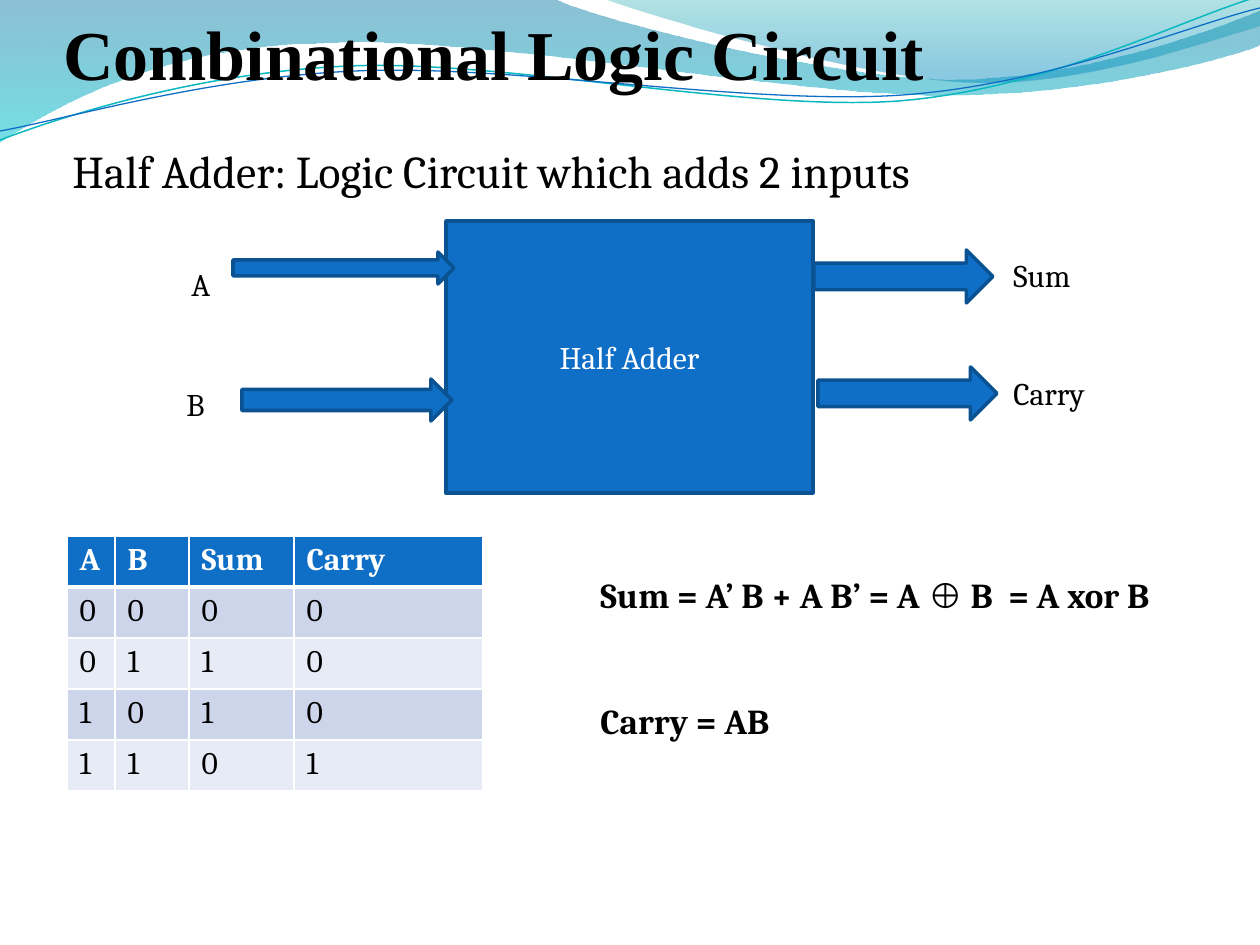
"""Build the half adder slide: block diagram, truth table and equations."""
import pptx
import pptx.dml.color
import pptx.enum.shapes
import pptx.enum.text
import pptx.oxml
import pptx.oxml.ns
import pptx.util

RGB = pptx.dml.color.RGBColor
SHAPE = pptx.enum.shapes.MSO_SHAPE
ALIGN = pptx.enum.text.PP_ALIGN
ANCHOR = pptx.enum.text.MSO_ANCHOR
Pt = pptx.util.Pt
qn = pptx.oxml.ns.qn
NS = pptx.oxml.ns.nsdecls("a")

EMU_PER_PX = 914400 / 126
FONT = "Cambria"
TITLE_FONT = "Times New Roman"

BLACK = RGB(0x00, 0x00, 0x00)
WHITE = RGB(0xFF, 0xFF, 0xFF)
BLUE = RGB(0x0F, 0x6F, 0xC6)
DARK_BLUE = RGB(0x0B, 0x52, 0x92)
TEAL = RGB(0x0A, 0xB8, 0xBF)
BAND_DARK = RGB(0xCC, 0xD5, 0xEA)
BAND_LIGHT = RGB(0xE7, 0xEB, 0xF5)
OCEAN = RGB(0x00, 0x74, 0xA1)
CYAN = RGB(0x00, 0xC6, 0xCF)
SEA = RGB(0x00, 0xA1, 0xA9)
SKY = RGB(0x00, 0x8B, 0xBF)

LARGE_WAVE = [
    (0, 0), (554, -1),
    (600, 21, 837, 79, 955, 79), (1075, 79, 1207, 33, 1260, 11), (1261, 45),
    (1239, 55, 1096, 96, 940, 95), (784, 95, 481, 35, 324, 43),
    (163, 45, 58, 105, -1, 142), (0, 0),
]
SMALL_WAVE = [
    (604, -1), (641, 14, 859, 78, 969, 82),
    (1079, 87, 1211, 40, 1260, 26), (1260, 0), (604, -1),
]
TEAL_CURVE = [
    (0, 140), (60, 117, 199, 72, 349, 66),
    (498, 59, 747, 112, 898, 101), (1049, 89, 1182, 19, 1257, -3),
]
BLUE_CURVE = [
    (0, 131), (59, 121, 207, 77, 357, 71),
    (508, 64, 752, 106, 903, 95), (1053, 84, 1186, 26, 1260, 8),
]
ARROWS = [(233, 252, 221, 32), (242, 379, 210, 42),
          (814, 250, 179, 53), (818, 367, 179, 53)]
LABELS = [("A", 179, 259, 42), ("B", 174, 379, 42),
          ("Sum", 1001, 250, 101), ("Carry", 1001, 368, 101)]
TRUTH_TABLE = [("A", "B", "Sum", "Carry"),
               "0000", "0110", "1010", "1101"]
COLUMN_WIDTHS = [48, 74, 105, 189]
ROW_HEIGHT = 51


def px(*lengths):
    """Turn px lengths into a list of EMU."""
    return [pptx.util.Emu(round(v * EMU_PER_PX)) for v in lengths]


def add_path(s, segments, close):
    """Add a freeform of straight and cubic Bezier segments."""
    start, *points = [px(*seg[i:i + 2]) for seg in segments
                      for i in range(0, len(seg), 2)]
    builder = s.shapes.build_freeform(*start, scale=1.0)
    builder.add_line_segments(points, close=close)
    sp = builder.convert_to_shape()
    sp.shadow.inherit = False
    lines = iter(list(sp.element.iter(qn("a:lnTo"))))
    for seg in segments[1:]:
        line = next(lines)
        if len(seg) == 6:
            curve = pptx.oxml.parse_xml(f"<a:cubicBezTo {NS}/>")
            line.addprevious(curve)
            for part in (line, next(lines), next(lines)):
                curve.append(part[0])
                part.getparent().remove(part)
    return sp


def add_wave(s, segments, stops):
    """Add a wave with a downward gradient of (position, colour, opacity)."""
    sp = add_path(s, segments, True)
    sp.line.fill.background()
    sp.fill.gradient()
    sp.fill.gradient_angle = 270
    for stop, (position, color, _) in zip(sp.fill.gradient_stops, stops):
        stop.position = position
        stop.color.rgb = color
    for clr, (_, _, opacity) in zip(sp.element.iter(qn("a:srgbClr")), stops):
        clr.append(pptx.oxml.parse_xml(
            f'<a:alpha {NS} val="{opacity * 1000}"/>'))


def add_curve(s, segments, color, width):
    """Add an unfilled curved line."""
    sp = add_path(s, segments, False)
    sp.fill.background()
    sp.line.color.rgb = color
    sp.line.width = Pt(width)


def style(font, size, color=BLACK, bold=False, name=FONT):
    """Set the face, size, colour and weight of a font."""
    font.name, font.size, font.bold = name, Pt(size), bold
    font.color.rgb = color


def set_title(s, text):
    """Fill the title placeholder and bring it in front of the waves."""
    title = s.shapes.title
    title.left, title.top, title.width, title.height = px(63, -31, 1134, 126)
    tf = title.text_frame
    tf.auto_size = pptx.enum.text.MSO_AUTO_SIZE.NONE
    tf.vertical_anchor = ANCHOR.BOTTOM
    tf.margin_left = tf.margin_right = tf.margin_bottom = 0
    p = tf.paragraphs[0]
    p.text = text
    p.alignment = ALIGN.LEFT
    style(p.font, 40, bold=True, name=TITLE_FONT)
    title.element.getparent().append(title.element)


def add_text(s, text, box, size=18, bold=False):
    """Add a wrapping text box and return its text frame."""
    tf = s.shapes.add_textbox(*px(*box)).text_frame
    tf.word_wrap = True
    p = tf.paragraphs[0]
    p.text = text
    style(p.font, size, bold=bold)
    return tf


def add_block(s, kind, box, text=""):
    """Add a blue preset shape, with centred text if given."""
    sp = s.shapes.add_shape(kind, *px(*box))
    sp.shadow.inherit = False
    sp.fill.solid()
    sp.fill.fore_color.rgb = BLUE
    sp.line.color.rgb = DARK_BLUE
    sp.line.width = Pt(2)
    if text:
        sp.text_frame.vertical_anchor = ANCHOR.MIDDLE
        p = sp.text_frame.paragraphs[0]
        p.text = text
        p.alignment = ALIGN.CENTER
        style(p.font, 18, WHITE)


def set_borders(cell, widths):
    """Give a cell white borders of the given widths by side."""
    tc_pr = cell._tc.get_or_add_tcPr()
    for i, (side, width) in enumerate(widths.items()):
        tc_pr.insert(i, pptx.oxml.parse_xml(
            f'<a:ln{side} {NS} w="{Pt(width)}"><a:solidFill>'
            f'<a:srgbClr val="{WHITE}"/></a:solidFill></a:ln{side}>'))


def add_truth_table(s, left, top):
    """Add the truth table with a header and banded rows."""
    rows, cols = len(TRUTH_TABLE), len(COLUMN_WIDTHS)
    box = px(left, top, sum(COLUMN_WIDTHS), rows * ROW_HEIGHT)
    table = s.shapes.add_table(rows, cols, *box).table
    for column, width in zip(table.columns, px(*COLUMN_WIDTHS)):
        column.width = width
    for r, values in enumerate(TRUTH_TABLE):
        header = r == 0
        for c, value in enumerate(values):
            cell = table.cell(r, c)
            cell.text = value
            style(cell.text_frame.paragraphs[0].font, 18,
                  WHITE if header else BLACK, header)
            cell.fill.solid()
            cell.fill.fore_color.rgb = (
                BLUE if header else BAND_DARK if r % 2 else BAND_LIGHT)
            set_borders(cell, {"L": 1, "R": 1, "T": 3 if r == 1 else 1,
                               "B": 3 if header else 1})


def add_equations(s):
    """Add the sum and carry equations."""
    tf = add_text(s, "Sum = A’ B + A B’ = A ", (588, 567, 609, 183), 20, True)
    p = tf.paragraphs[0]
    r = p.add_run()
    r.text = "⊕"
    r.font.name = TITLE_FONT
    p.add_run().text = " B  = A xor B"
    p = tf.add_paragraph()
    p.text = "Carry = AB"
    p.space_before = Pt(48)
    style(p.font, 20, bold=True)


def main():
    prs = pptx.Presentation()
    prs.slide_width, prs.slide_height = px(1260, 945)
    s = prs.slides.add_slide(prs.slide_layouts[5])
    add_wave(s, LARGE_WAVE, [(0, OCEAN, 45), (1, CYAN, 55)])
    add_wave(s, SMALL_WAVE, [(0, SEA, 30), (0.8, SKY, 45)])
    add_curve(s, TEAL_CURVE, TEAL, 0.85)
    add_curve(s, BLUE_CURVE, BLUE, 0.75)
    set_title(s, "Combinational Logic Circuit")
    add_text(s, "Half Adder: Logic Circuit which adds 2 inputs",
             (60, 137, 1134, 605), 26)
    add_block(s, SHAPE.RECTANGLE, (446, 221, 367, 272), "Half Adder")
    for box in ARROWS:
        add_block(s, SHAPE.RIGHT_ARROW, box)
    for text, left, top, width in LABELS:
        add_text(s, text, (left, top, width, 50))
    add_truth_table(s, 67, 536)
    add_equations(s)
    prs.save("out.pptx")


if __name__ == "__main__":
    main()
